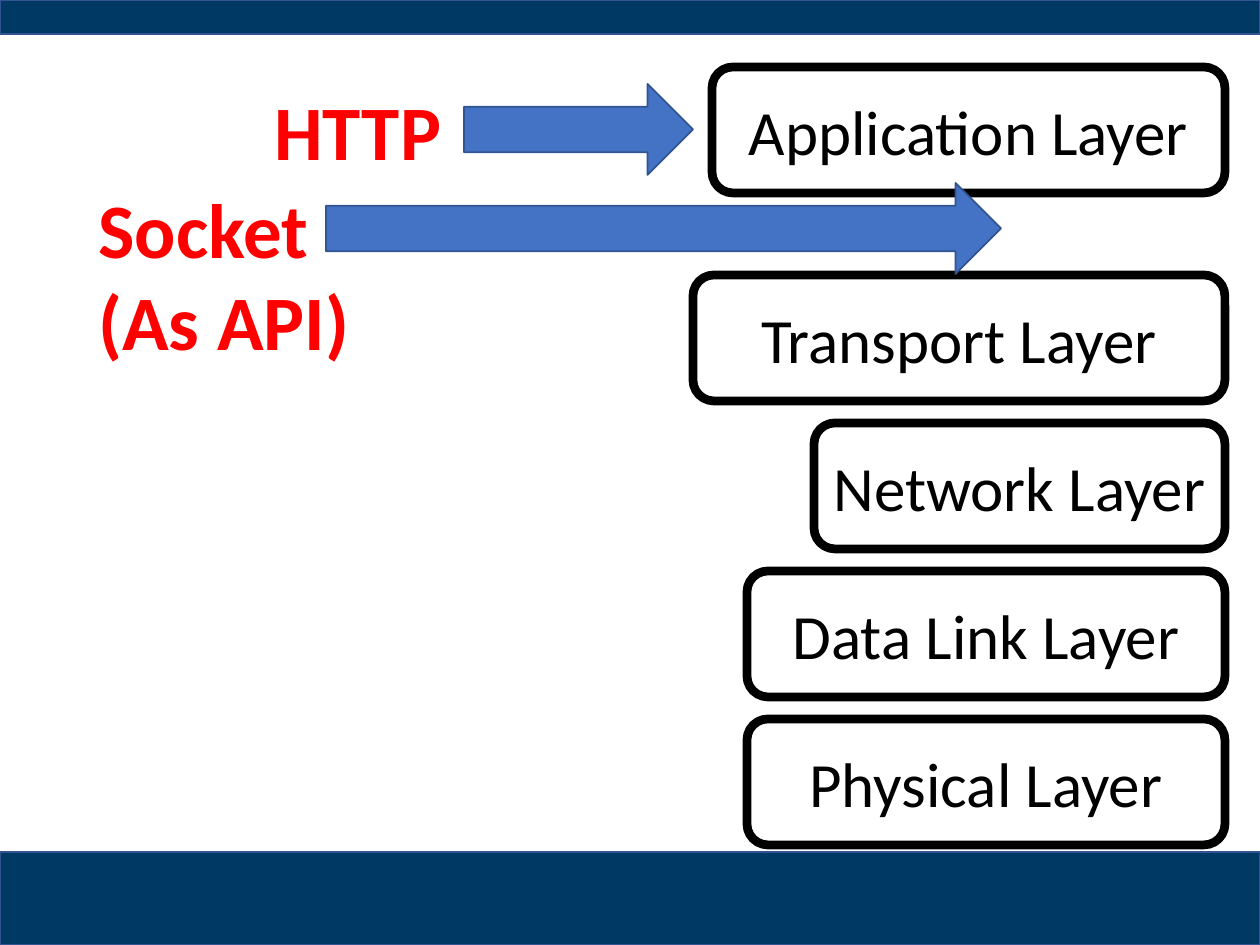
from typing import NamedTuple

from pptx import Presentation
from pptx.dml.color import RGBColor
from pptx.enum.shapes import MSO_SHAPE
from pptx.enum.text import MSO_ANCHOR, PP_ALIGN
from pptx.util import Emu, Pt

PX_PER_INCH = 126
SLIDE_WIDTH, SLIDE_HEIGHT = 1260, 945

NAVY = RGBColor(0x00, 0x3A, 0x64)
BLUE = RGBColor(0x44, 0x72, 0xC4)
EDGE_BLUE = RGBColor(0x32, 0x54, 0x91)
RED = RGBColor(0xFF, 0x00, 0x00)
BLACK = RGBColor(0x00, 0x00, 0x00)
WHITE = RGBColor(0xFF, 0xFF, 0xFF)

FONT = "Calibri"
LAYER_RIGHT, LAYER_HEIGHT = 1225, 126
STACK_TOP, STACK_PITCH = 275, 148


class Area(NamedTuple):
    left: int
    top: int
    width: int
    height: int


class Layer(NamedTuple):
    name: str
    left: int
    top: int


class Label(NamedTuple):
    lines: tuple[str, ...]
    area: Area


BARS = [Area(0, 852, SLIDE_WIDTH, 93), Area(0, 0, SLIDE_WIDTH, 34)]
LOWER_LAYERS = [
    ("Transport Layer", 693),
    ("Network Layer", 814),
    ("Data Link Layer", 747),
    ("Physical Layer", 747),
]
LAYERS = [Layer("Application Layer", 712, 67)] + [
    Layer(name, left, STACK_TOP + row * STACK_PITCH)
    for row, (name, left) in enumerate(LOWER_LAYERS)
]
LABELS = [
    Label(("Socket", "(As API)"), Area(86, 175, 368, 199)),
    Label(("HTTP",), Area(262, 77, 202, 106)),
]
ARROWS = [Area(464, 84, 229, 91), Area(326, 183, 675, 91)]


def px(length: int) -> Emu:
    return Emu(round(length * 914400 / PX_PER_INCH))


def add_block(page, kind, area: Area, fill: RGBColor, edge: RGBColor, edge_width: int = 1):
    block = page.shapes.add_shape(kind, *map(px, area))
    block.shadow.inherit = False
    block.fill.solid()
    block.fill.fore_color.rgb = fill
    block.line.color.rgb = edge
    block.line.width = Pt(edge_width)
    return block


def style_paragraph(para, size: int, color: RGBColor, bold: bool = False) -> None:
    para.font.name = FONT
    para.font.size = Pt(size)
    para.font.bold = bold
    para.font.color.rgb = color


def add_layer(page, layer: Layer) -> None:
    area = Area(layer.left, layer.top, LAYER_RIGHT - layer.left, LAYER_HEIGHT)
    box = add_block(page, MSO_SHAPE.FLOWCHART_ALTERNATE_PROCESS, area, WHITE, BLACK, 5)
    box.text_frame.vertical_anchor = MSO_ANCHOR.MIDDLE
    para = box.text_frame.paragraphs[0]
    para.text = layer.name
    para.alignment = PP_ALIGN.CENTER
    style_paragraph(para, 36, BLACK)


def add_label(page, label: Label) -> None:
    box = page.shapes.add_textbox(*map(px, label.area))
    box.text_frame.word_wrap = True
    box.text_frame.text = "\n".join(label.lines)
    for para in box.text_frame.paragraphs:
        style_paragraph(para, 44, RED, bold=True)


def main() -> None:
    deck = Presentation()
    deck.slide_width, deck.slide_height = px(SLIDE_WIDTH), px(SLIDE_HEIGHT)
    page = deck.slides.add_slide(deck.slide_layouts[6])
    for bar in BARS:
        add_block(page, MSO_SHAPE.RECTANGLE, bar, NAVY, EDGE_BLUE)
    for layer in LAYERS:
        add_layer(page, layer)
    for label in LABELS:
        add_label(page, label)
    for arrow in ARROWS:
        add_block(page, MSO_SHAPE.RIGHT_ARROW, arrow, BLUE, EDGE_BLUE)
    deck.save("out.pptx")


if __name__ == "__main__":
    main()
